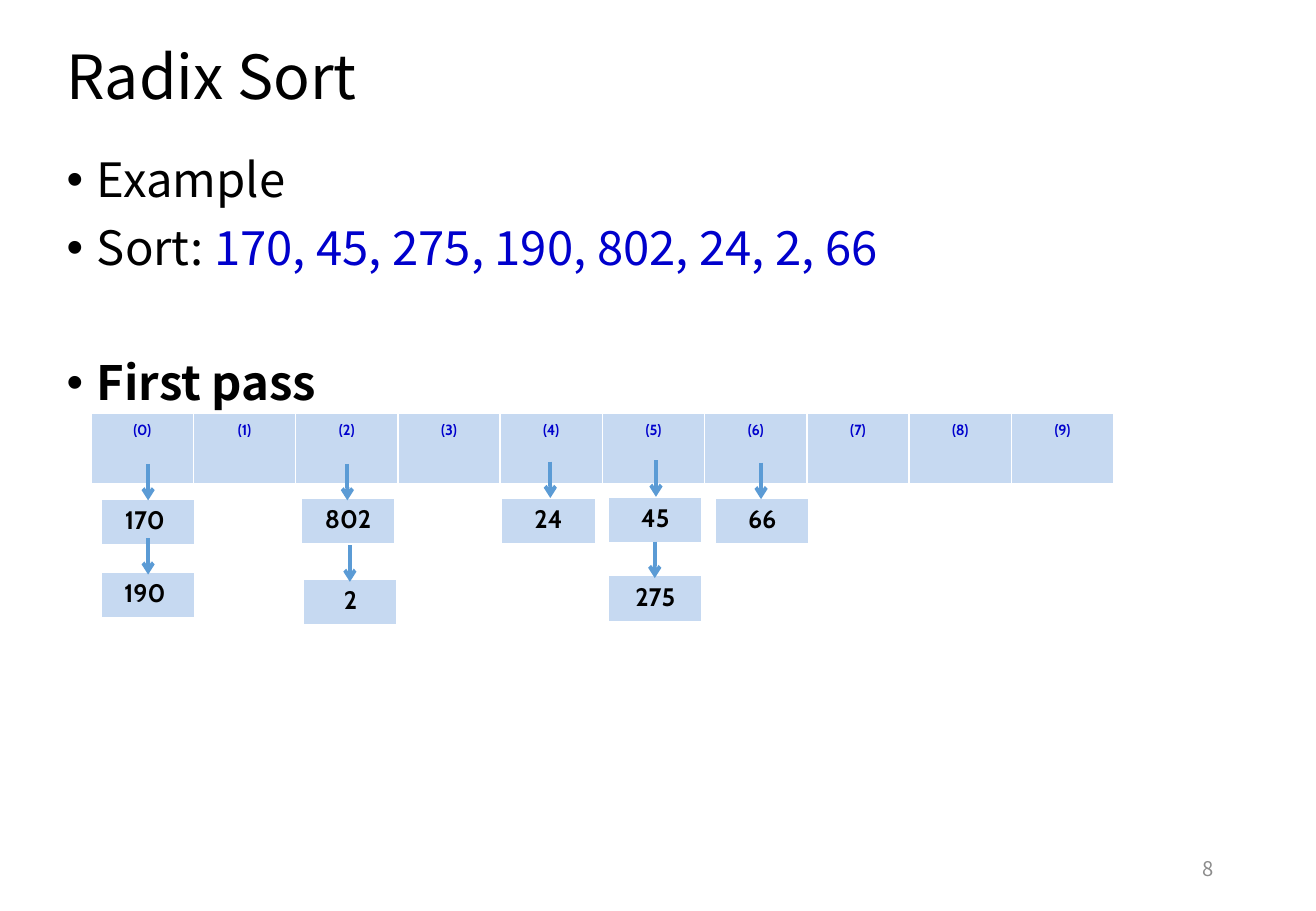
from dataclasses import dataclass

from lxml.etree import SubElement
from pptx import Presentation
from pptx.dml.color import RGBColor
from pptx.enum.shapes import MSO_CONNECTOR as Connector
from pptx.enum.text import MSO_ANCHOR as Anchor, PP_ALIGN as Align
from pptx.oxml import parse_xml
from pptx.oxml.ns import nsdecls, qn
from pptx.slide import Slide
from pptx.text.text import TextFrame, _Paragraph as Paragraph
from pptx.util import Pt

BLACK = RGBColor(0x00, 0x00, 0x00)
WHITE = RGBColor(0xFF, 0xFF, 0xFF)
GREY = RGBColor(0x8C, 0x8C, 0x8C)
NUMBER_BLUE = RGBColor(0x00, 0x00, 0xCC)
CELL_BLUE = RGBColor(0xC6, 0xD9, 0xF1)
ARROW_BLUE = RGBColor(0x5B, 0x9B, 0xD5)

TEXT_FONT = "Noto Sans CJK SC"
TABLE_FONT = "Cabin"
BORDER_WIDTHS = {"lnL": 1, "lnR": 1, "lnT": 1, "lnB": 3}
BOX_WIDTH, BOX_HEIGHT = 55.44, 28.08
ARROW_LENGTH = 21.6


@dataclass(frozen=True)
class Entry:
    """A number in a bucket's chain, with the arrow that leads to it."""
    value: str
    left: float
    top: float
    arrow_x: float
    arrow_top: float


@dataclass(frozen=True)
class Bullet:
    text: str
    numbers: str = ""
    bold: bool = False
    space_before: float = 10


ENTRIES = [
    Entry("170 ", 59.8, 295.9, 87.8, 275),
    Entry("802", 178.6, 295.2, 205.9, 275),
    Entry("24", 297.4, 295.2, 326.2, 273.6),
    Entry("45", 360.7, 294.5, 388.8, 272.9),
    Entry("66", 424.1, 295.2, 451.1, 274.3),
    Entry("275", 360.7, 341.3, 388.1, 321.1),
    Entry("190 ", 59.8, 339.1, 87.8, 319),
    Entry("2", 180, 343.4, 207.4, 323.3),
]
BULLETS = [
    Bullet("Example", space_before=0),
    Bullet("Sort: ", numbers="170, 45, 275, 190, 802, 24, 2, 66"),
    Bullet("First pass", bold=True, space_before=50),
]


def style_font(paragraph: Paragraph, name: str, size: float,
               color: RGBColor, bold: bool = False) -> None:
    font = paragraph.font
    font.name, font.size, font.bold = name, Pt(size), bold
    font.color.rgb = color


def add_text_frame(slide: Slide, left: float, top: float, width: float,
                   height: float, anchor: Anchor) -> TextFrame:
    box = slide.shapes.add_textbox(Pt(left), Pt(top), Pt(width), Pt(height))
    frame = box.text_frame
    frame.word_wrap = True
    frame.vertical_anchor = anchor
    return frame


def add_bullet(paragraph: Paragraph, bullet: Bullet) -> None:
    paragraph.line_spacing = 0.9
    paragraph.space_before = Pt(bullet.space_before)
    properties = paragraph._p.get_or_add_pPr()
    properties.set("marL", str(Pt(18)))
    properties.set("indent", str(Pt(-18)))
    SubElement(properties, qn("a:buFont")).set("typeface", "Arial")
    SubElement(properties, qn("a:buChar")).set("char", "•")
    style_font(paragraph, TEXT_FONT, 28, BLACK, bullet.bold)
    paragraph.add_run().text = bullet.text
    if bullet.numbers:
        run = paragraph.add_run()
        run.text = bullet.numbers
        run.font.color.rgb = NUMBER_BLUE


def add_row(slide: Slide, texts: list[str], left: float, top: float,
            width: float, height: float, color: RGBColor,
            baseline: int = 0) -> None:
    """Add a one-row table of blue cells with white borders."""
    table = slide.shapes.add_table(
        1, len(texts), Pt(left), Pt(top), Pt(width), Pt(height)).table
    table.first_row = table.horz_banding = False
    for cell, text in zip(table.rows[0].cells, texts):
        cell.fill.solid()
        cell.fill.fore_color.rgb = CELL_BLUE
        properties = cell._tc.get_or_add_tcPr()
        for position, (side, line_width) in enumerate(BORDER_WIDTHS.items()):
            properties.insert(position, parse_xml(
                f'<a:{side} {nsdecls("a")} w="{Pt(line_width)}"><a:solidFill>'
                f'<a:srgbClr val="{WHITE}"/></a:solidFill></a:{side}>'))
        paragraph = cell.text_frame.paragraphs[0]
        paragraph.alignment = Align.CENTER
        style_font(paragraph, TABLE_FONT, 15, color, bold=True)
        run = paragraph.add_run()
        run.text = text
        if baseline:
            run._r.get_or_add_rPr().set("baseline", str(baseline * 1000))


def add_arrow(slide: Slide, x: float, top: float) -> None:
    arrow = slide.shapes.add_connector(
        Connector.STRAIGHT, Pt(x), Pt(top), Pt(x), Pt(top + ARROW_LENGTH))
    arrow.line.color.rgb = ARROW_BLUE
    arrow.line.width = Pt(2.25)
    SubElement(arrow.line._get_or_add_ln(), qn("a:tailEnd")).set("type", "arrow")
    SubElement(arrow._element.spPr, qn("a:effectLst"))


def main() -> None:
    presentation = Presentation()
    presentation.slide_width, presentation.slide_height = Pt(780), Pt(540)
    slide = presentation.slides.add_slide(presentation.slide_layouts[6])

    # Title
    title = add_text_frame(slide, 32.4, 28.8, 570, 41.8, Anchor.MIDDLE).paragraphs[0]
    title.line_spacing = 0.7
    style_font(title, TEXT_FONT, 36, BLACK)
    title.add_run().text = "Radix Sort"

    # Bulleted text
    body = add_text_frame(slide, 32.4, 89.3, 648, 84.2, Anchor.TOP)
    for index, bullet in enumerate(BULLETS):
        add_bullet(body.add_paragraph() if index else body.paragraphs[0], bullet)

    # Bucket headings, one for each digit
    add_row(slide, [f"({digit})" for digit in range(10)],
            54, 244.8, 606.2, 43, NUMBER_BLUE, baseline=30)

    # Numbers in the buckets and their arrows
    for entry in ENTRIES:
        add_row(slide, [entry.value], entry.left, entry.top,
                BOX_WIDTH, BOX_HEIGHT, BLACK)
    for entry in ENTRIES:
        add_arrow(slide, entry.arrow_x, entry.arrow_top)

    # Slide number
    number = add_text_frame(slide, 550.8, 500.4, 175.7, 28.8, Anchor.MIDDLE).paragraphs[0]
    number.alignment = Align.RIGHT
    style_font(number, TEXT_FONT, 12, GREY)
    number.add_run().text = "8"

    presentation.save("out.pptx")


if __name__ == "__main__":
    main()
